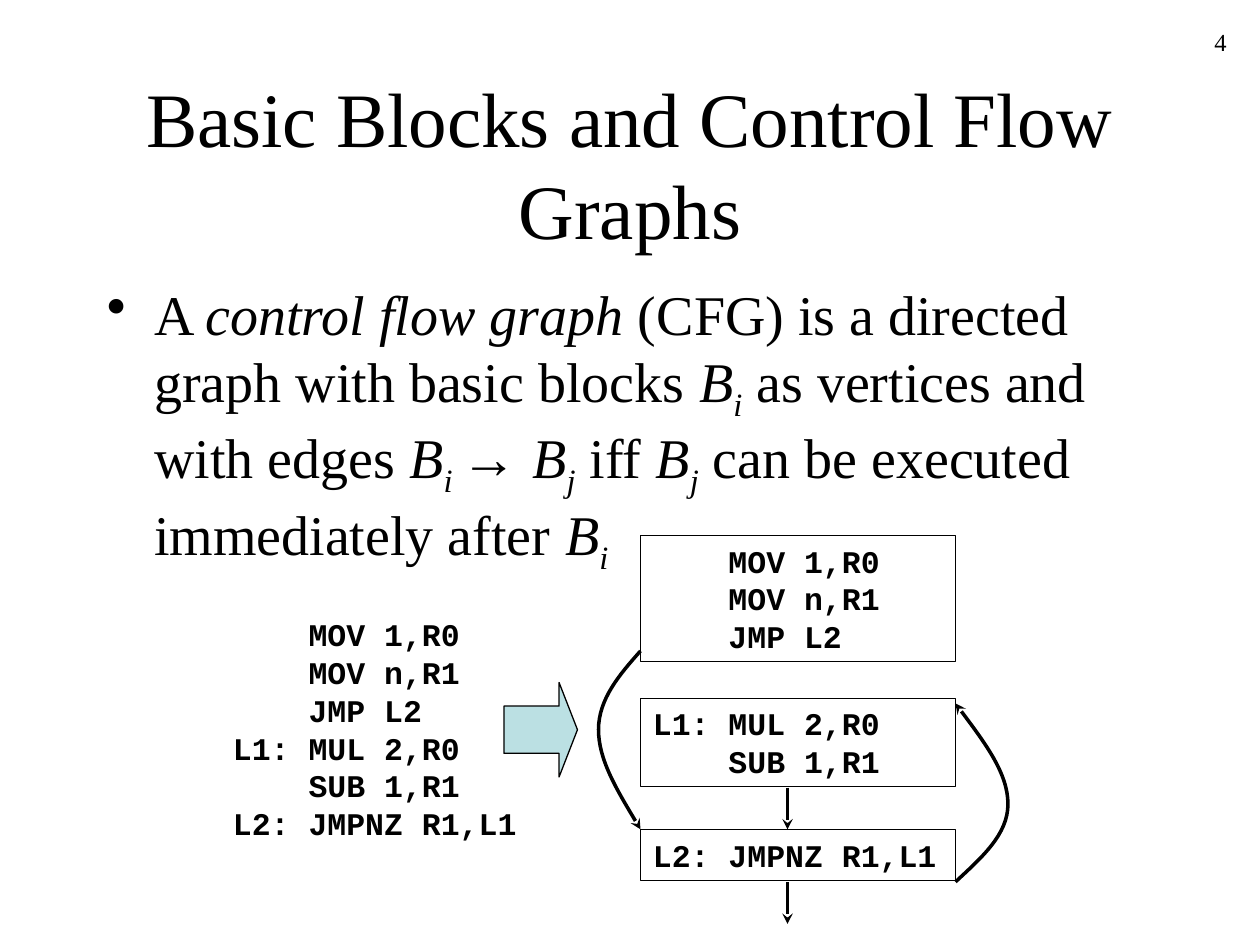
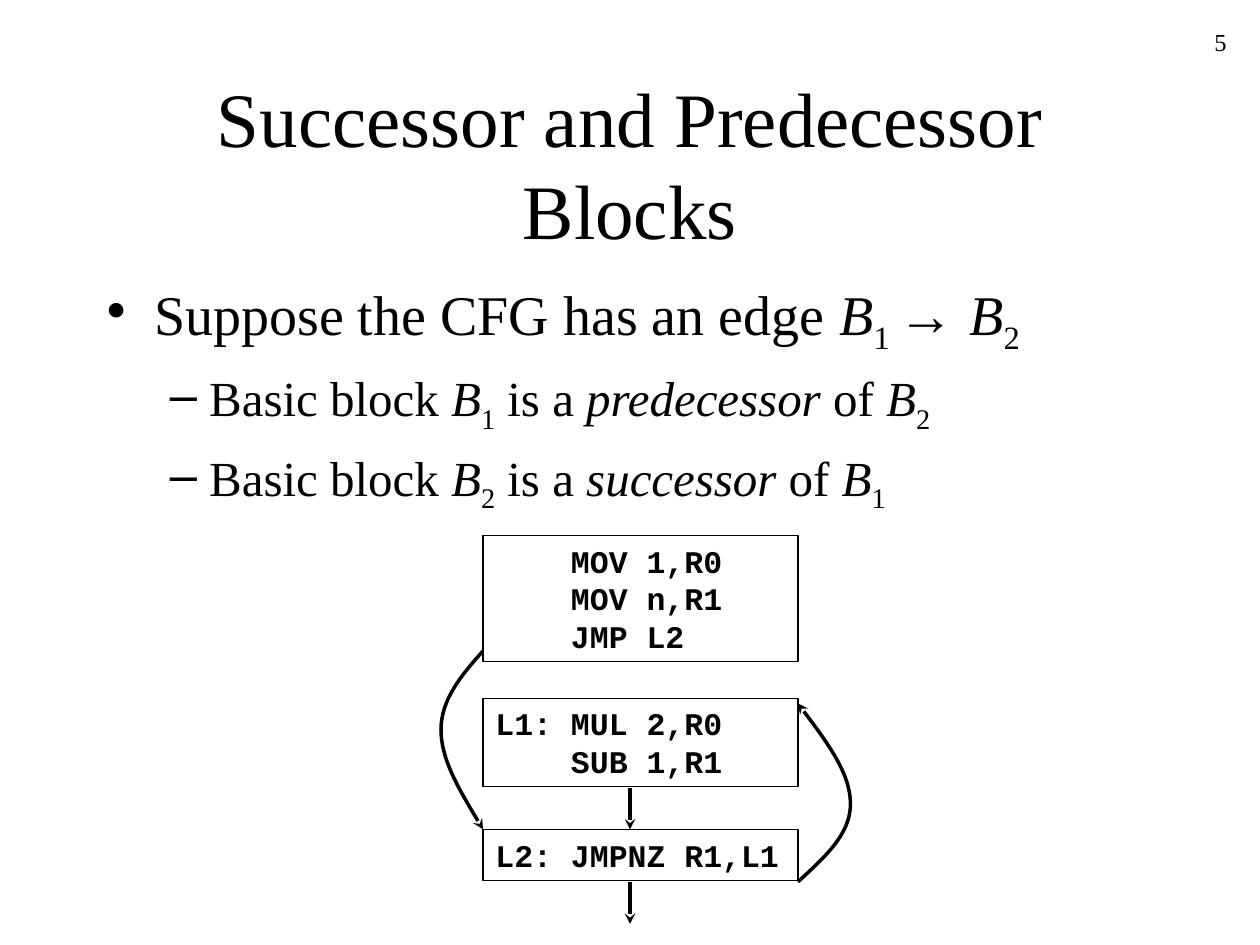
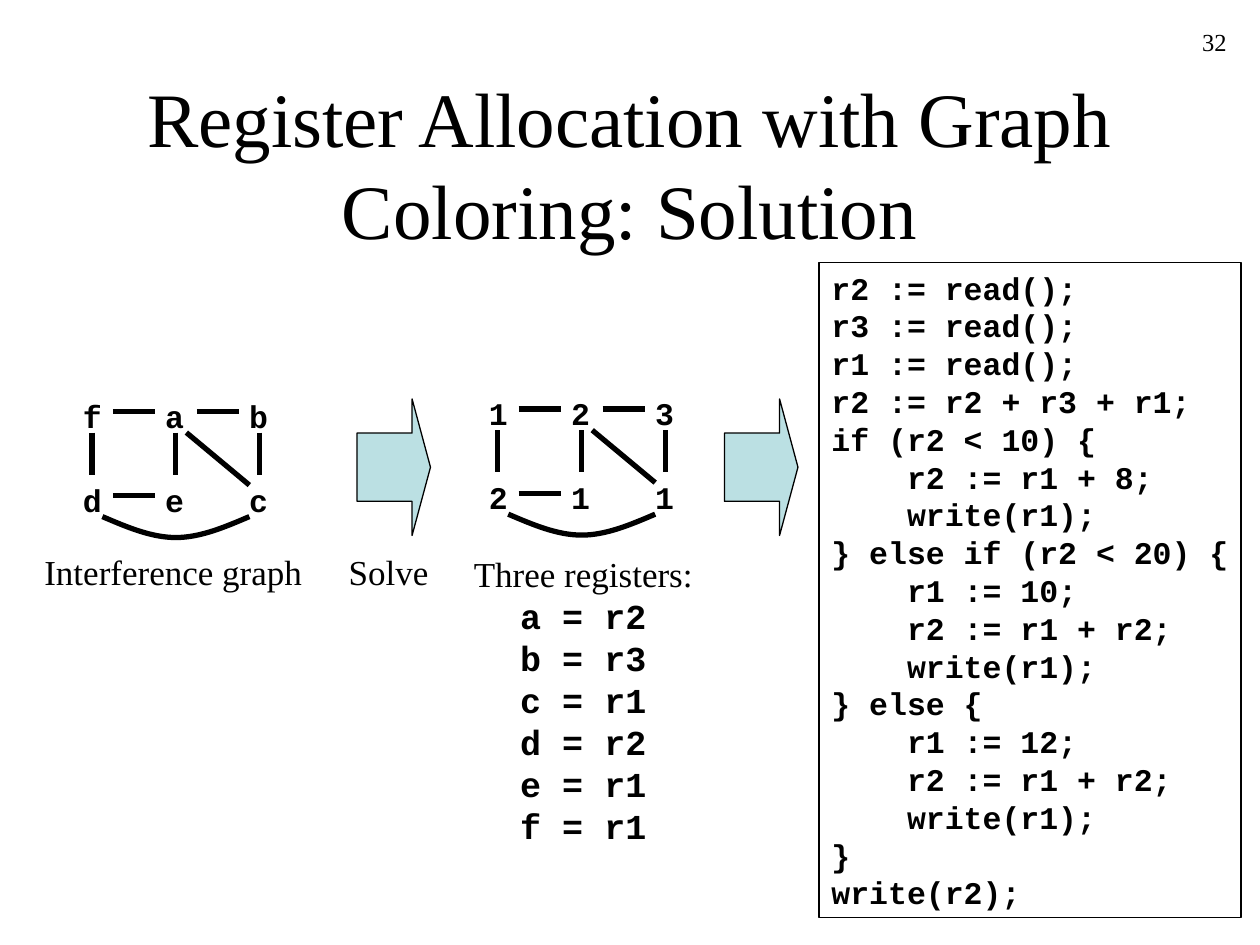
from dataclasses import dataclass
from typing import NamedTuple

from lxml.etree import SubElement
from pptx import Presentation
from pptx.dml.color import RGBColor
from pptx.enum.shapes import MSO_CONNECTOR, MSO_SHAPE
from pptx.enum.text import MSO_ANCHOR, MSO_AUTO_SIZE, PP_ALIGN
from pptx.oxml.ns import qn
from pptx.slide import Slide
from pptx.util import Pt

INK, PALE = "000000", "BBE0E3"
SERIF, SANS, MONO = "Times New Roman", "Arial", "Courier New"
LEFT, MID, RIGHT = PP_ALIGN.LEFT, PP_ALIGN.CENTER, PP_ALIGN.RIGHT


class Box(NamedTuple):
    """Left, top, width and height in points."""
    x: float
    y: float
    w: float
    h: float


class Spot(NamedTuple):
    """A place on the slide in points."""
    x: float
    y: float


class Run(NamedTuple):
    """A piece of text that may be slanted or lowered."""
    text: str
    slant: bool = False
    low: bool = False
    face: str = ""


@dataclass(frozen=True)
class Style:
    """How a paragraph looks."""
    size: float
    face: str = SERIF
    bold: bool = False
    align: PP_ALIGN = LEFT
    mark: str = ""
    edge: float = 0
    hang: float = 0
    gap: float = 0
    level: int = 0


@dataclass(frozen=True)
class Line:
    """One paragraph and its style."""
    runs: list[Run]
    style: Style


TITLE = Style(44, align=MID)
NUMBER = Style(14, align=RIGHT)
LABEL = Style(20, align=MID)
TABLE = Style(20, MONO, True, MID)
CODE = Style(18, MONO, True)
POINT = Style(32, mark="•", edge=27, hang=-27, gap=8)
DASH = Style(28, mark="–", edge=58.5, hang=-22.5, gap=7, level=1)

BODY = Box(54, 156, 612, 324)
CHAR = 10.8

START = """    MOV 1,R0
    MOV n,R1
    JMP L2"""
LOOP = """L1: MUL 2,R0
    SUB 1,R1"""
TEST = "L2: JMPNZ R1,L1"
RESULT = """r2 := read();
r3 := read();
r1 := read();
r2 := r2 + r3 + r1;
if (r2 < 10) {
    r2 := r1 + 8;
    write(r1);
} else if (r2 < 20) {
    r1 := 10;
    r2 := r1 + r2;
    write(r1);
} else {
    r1 := 12;
    r2 := r1 + r2;
    write(r1);
}
write(r2);"""


def paint(code: str) -> RGBColor:
    """Turn a hex string into a colour."""
    return RGBColor.from_string(code)


def block(sub: str) -> list[Run]:
    """Give the runs of B with a subscript."""
    return [Run("B", True), Run(sub, sub.strip().isalpha(), True)]


def lines(text: str, style: Style) -> list[Line]:
    """Split plain text into paragraphs."""
    return [Line([Run(row)], style) for row in text.split("\n")]


def write(shape, rows: list[Line], wrap: bool = True, grow: bool = True,
          anchor: MSO_ANCHOR = MSO_ANCHOR.TOP) -> None:
    """Fill a shape with paragraphs, turning code indents into margins."""
    frame = shape.text_frame
    frame.word_wrap = wrap
    frame.auto_size = MSO_AUTO_SIZE.SHAPE_TO_FIT_TEXT if grow else MSO_AUTO_SIZE.NONE
    frame.vertical_anchor = anchor
    for at, row in enumerate(rows):
        style = row.style
        para = frame.add_paragraph() if at else frame.paragraphs[0]
        para.alignment, para.level = style.align, style.level
        para.space_before = Pt(style.gap)
        font = para.font
        font.size, font.name, font.bold = Pt(style.size), style.face, style.bold
        font.color.rgb = paint(INK)
        edge = style.edge
        for part in row.runs:
            text = part.text
            if style == CODE:
                text = text.lstrip()
                edge = CHAR * (len(part.text) - len(text))
            run = para.add_run()
            run.text = text
            if part.slant:
                run.font.italic = True
            if part.face:
                run.font.name = part.face
            if part.low:
                run.font._element.set("baseline", "-25000")
        props = para._p.get_or_add_pPr()
        props.set("marL", str(Pt(edge)))
        props.set("indent", str(Pt(style.hang)))
        if style.mark:
            mark = props.makeelement(qn("a:buChar"), {"char": style.mark})
            props.find(qn("a:defRPr")).addprevious(mark)


def note(slide: Slide, box: Box, rows: list[Line], **kind) -> None:
    """Add a text box."""
    write(slide.shapes.add_textbox(*map(Pt, box)), rows, **kind)


def solid(slide: Slide, kind: MSO_SHAPE, box: Box, fill: str = ""):
    """Add an outlined shape, filled when a colour is given."""
    shape = slide.shapes.add_shape(kind, *map(Pt, box))
    shape.shadow.inherit = False
    shape.line.color.rgb, shape.line.width = paint(INK), Pt(0.75)
    if fill:
        shape.fill.solid()
        shape.fill.fore_color.rgb = paint(fill)
    else:
        shape.fill.background()
    return shape


def panel(slide: Slide, box: Box, text: str, wrap: bool = True) -> None:
    """Add a framed code listing."""
    write(solid(slide, MSO_SHAPE.RECTANGLE, box), lines(text, CODE), wrap)


def arrow(slide: Slide, box: Box) -> None:
    """Add a pale block arrow."""
    shape = solid(slide, MSO_SHAPE.RIGHT_ARROW, box, PALE)
    shape.adjustments[0], shape.adjustments[1] = 0.5, 0.25


def stroke(shape, width: float, head: bool) -> None:
    """Set the pen of a line or curve."""
    shape.line.color.rgb, shape.line.width = paint(INK), Pt(width)
    if head:
        SubElement(shape.line._get_or_add_ln(), qn("a:tailEnd"), type="stealth")


def link(slide: Slide, start: Spot, end: Spot, width: float, head: bool = False) -> None:
    """Add a straight line."""
    line = slide.shapes.add_connector(MSO_CONNECTOR.STRAIGHT, *map(Pt, (*start, *end)))
    stroke(line, width, head)
    SubElement(line._element.spPr, qn("a:effectLst"))


def curve(slide: Slide, spots: list[Spot], width: float, head: bool = False) -> None:
    """Add an open curve whose later spots form cubic triples."""
    first, *rest = [(Pt(x), Pt(y)) for x, y in spots]
    pen = slide.shapes.build_freeform(*first)
    pen.add_line_segments(rest, close=False)
    shape = pen.convert_to_shape()
    shape.fill.background()
    shape.shadow.inherit = False
    stroke(shape, width, head)
    trail = next(shape._element.iter(qn("a:path")))
    steps = trail.findall(qn("a:lnTo"))
    for at in range(0, len(steps), 3):
        bend = SubElement(trail, qn("a:cubicBezTo"))
        for step in steps[at:at + 3]:
            bend.append(step[0])
            trail.remove(step)


def flow(slide: Slide, x: float) -> None:
    """Draw the control flow graph at a left edge."""
    for y, high, text in ((306, 72, START), (399, 50.4, LOOP), (474, 29, TEST)):
        panel(slide, Box(x, y, 180, high), text)
    down = ((0, 372), (-12, 385.5), (-24, 399.5), (-24, 417),
            (-24, 434), (-12, 454), (0, 474))
    back = ((180, 504), (195, 490), (210, 477), (210, 459.5),
            (210, 442), (195, 422), (180, 402))
    for bend in (down, back):
        curve(slide, [Spot(x + dx, y) for dx, y in bend], 2, True)
    for y in (450, 504):
        link(slide, Spot(x + 84, y), Spot(x + 84, y + 24), 2, True)


def graph(slide: Slide, x: float, y: float, names: tuple[str, str]) -> None:
    """Draw a graph of six nodes with its top left at x, y."""
    step = 48
    for row, word in enumerate(names):
        for dx, name in zip((0, 47, 95), word):
            note(slide, Box(x + dx, y + step * row, 25.2, 29),
                 lines(name, CODE), wrap=False)
    for col, row in ((0, 0), (1, 0), (0, 1)):
        left, top = x + 24.2 + step * col, y + 12 + step * row
        link(slide, Spot(left, top), Spot(left + 24, top), 3)
    for col in range(3):
        mid = x + 12.2 + step * col
        link(slide, Spot(mid, y + 24), Spot(mid, y + step), 3)
    link(slide, Spot(x + 66.2, y + 24), Spot(x + 102.2, y + 54), 3)
    sag = (0, 6, 12, 12, 12, 6, 0)
    curve(slide, [Spot(x + 18.2 + 14 * at, y + 72 + dy) for at, dy in enumerate(sag)], 3)


def page(deck, number: int, title: str) -> Slide:
    """Add a slide with its number and title."""
    slide = deck.slides.add_slide(deck.slide_layouts[6])
    note(slide, Box(558, 12, 150, 36), lines(str(number), NUMBER), grow=False)
    note(slide, Box(54, 48, 612, 90), lines(title, TITLE), grow=False,
         anchor=MSO_ANCHOR.MIDDLE)
    return slide


def blocks(deck) -> None:
    """Build the slide on control flow graphs."""
    slide = page(deck, 4, "Basic Blocks and Control Flow Graphs")
    text = [Run("A "), Run("control flow graph", True),
            Run(" (CFG) is a directed graph with basic blocks "), *block("i"),
            Run(" as vertices and with edges "), *block("i "), Run("→ ", face=SANS),
            *block("j"), Run(" iff "), *block("j"),
            Run(" can be executed immediately after "), *block("i")]
    note(slide, BODY, [Line(text, POINT)], grow=False)
    note(slide, Box(126, 348, 176.4, 136.8),
         lines("\n".join((START, LOOP, TEST)), CODE), wrap=False)
    arrow(slide, Box(288, 390, 42, 54))
    flow(slide, 366)


def order(deck) -> None:
    """Build the slide on block order."""
    slide = page(deck, 5, "Successor and Predecessor Blocks")
    rows = [Line([Run("Suppose the CFG has an edge "), *block("1 "),
                  Run("→ ", face=SANS), *block("2")], POINT)]
    for one, role, two in (("1", "predecessor", "2"), ("2", "successor", "1")):
        rows.append(Line([Run("Basic block "), *block(one), Run(" is a "),
                          Run(role, True), Run(" of "), *block(two)], DASH))
    note(slide, BODY, rows, grow=False)
    flow(slide, 276)


def solve(deck) -> None:
    """Build the slide on graph coloring."""
    slide = page(deck, 32, "Register Allocation with Graph Coloring: Solution")
    graph(slide, 40.3, 223.2, ("fab", "dec"))
    graph(slide, 272.2, 221.8, ("123", "211"))
    for x in (204, 414):
        arrow(slide, Box(x, 228, 42, 78))
    for x, wide, text in ((18, 162, "Interference graph"), (192, 60, "Solve")):
        note(slide, Box(x, 311, wide, 31.7), lines(text, LABEL), wrap=False)
    pairs = "\n".join(f"{name} = r{reg}" for name, reg in zip("abcdef", "231211"))
    note(slide, Box(263.5, 312, 139.7, 175.7),
         lines("Three registers:", LABEL) + lines(pairs, TABLE), wrap=False)
    panel(slide, Box(468, 150, 241.2, 374.4), RESULT, wrap=False)


def main() -> None:
    """Build and save the deck."""
    deck = Presentation()
    deck.slide_width, deck.slide_height = Pt(720), Pt(540)
    for build in (blocks, order, solve):
        build(deck)
    deck.save("out.pptx")


if __name__ == "__main__":
    main()
